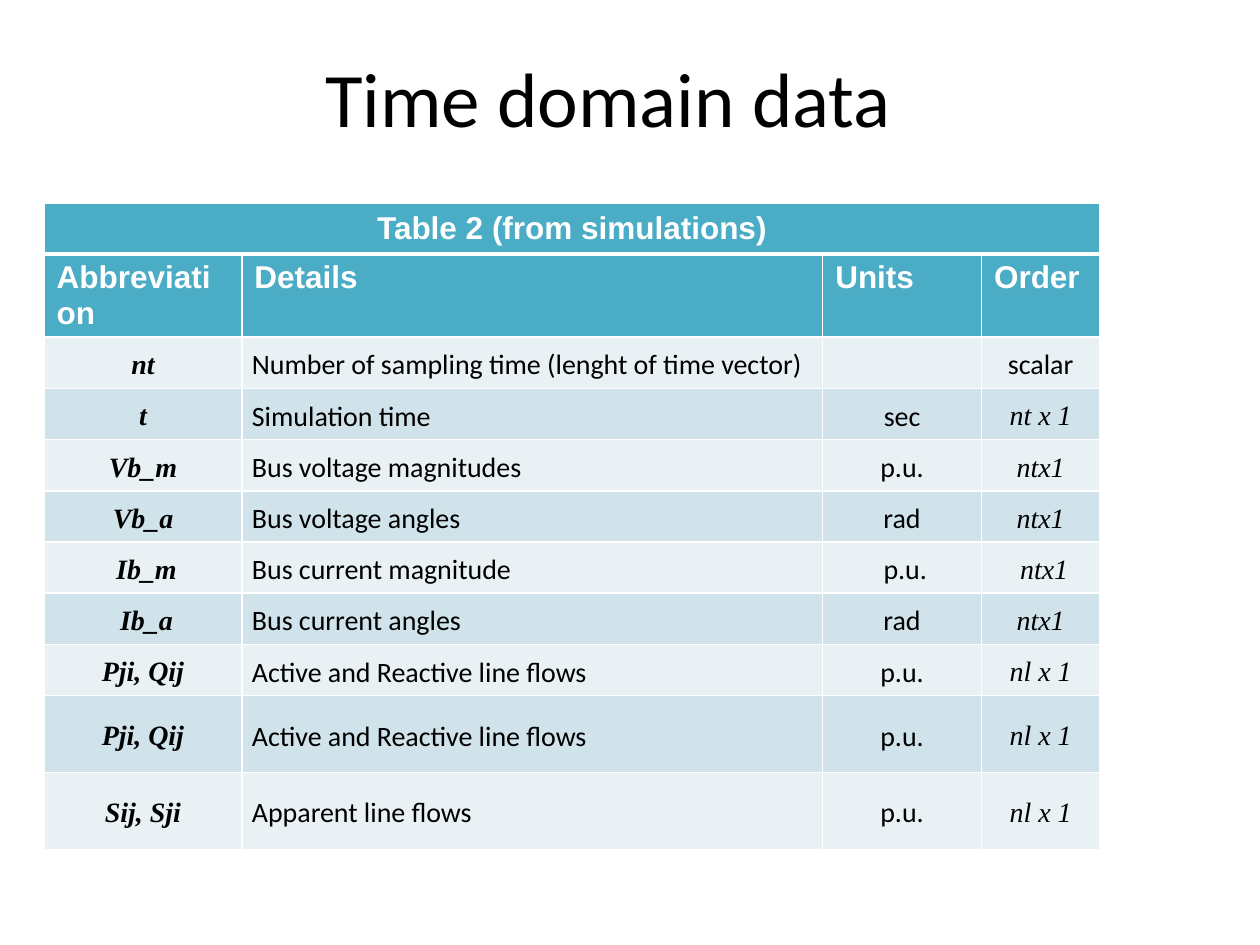
import pptx
import pptx.util
import pptx.dml.color
import pptx.enum.text
import pptx.oxml
import pptx.oxml.ns
from dataclasses import dataclass

Inches, Pt = pptx.util.Inches, pptx.util.Pt
Align = pptx.enum.text.PP_ALIGN
Anchor = pptx.enum.text.MSO_ANCHOR


@dataclass(frozen=True)
class Theme:
    header: str = "4BACC6"
    bands: tuple = ("E9F1F5", "D0E3EA")
    light: str = "FFFFFF"
    dark: str = "000000"
    title_size: int = 44
    header_size: int = 18
    body_size: int = 16
    text_font: str = "Calibri"
    header_font: str = "Arial"
    symbol_font: str = "Times New Roman"


theme = Theme()


def format_text(text_frame, font_name, size, color, align, bold=False, italic=False):
    paragraph = text_frame.paragraphs[0]
    paragraph.alignment = align
    for run in paragraph.runs:
        font = run.font
        font.name, font.size, font.bold, font.italic = font_name, Pt(size), bold, italic
        font.color.rgb = pptx.dml.color.RGBColor.from_string(color)


def paint_cell(cell, fill, top=1, bottom=1):
    """Draw the cell's borders (widths in points), then its fill, in schema order."""
    properties = cell._tc.get_or_add_tcPr()
    for side, width in (("L", 1), ("R", 1), ("T", top), ("B", bottom)):
        properties.append(pptx.oxml.parse_xml(
            f'<a:ln{side} {pptx.oxml.ns.nsdecls("a")} w="{Pt(width)}">'
            f'<a:solidFill><a:srgbClr val="{theme.light}"/></a:solidFill></a:ln{side}>'))
    cell.fill.solid()
    cell.fill.fore_color.rgb = pptx.dml.color.RGBColor.from_string(fill)


presentation = pptx.Presentation()
presentation.slide_width, presentation.slide_height = Inches(10), Inches(7.5)
slide = presentation.slides.add_slide(presentation.slide_layouts[5])

title = slide.shapes.title
title.left, title.top = Inches(2.48), Inches(0.3)
title.width, title.height = Inches(5.2), Inches(0.94)
title.text_frame.text = "Time domain data"
title.text_frame.vertical_anchor = Anchor.MIDDLE
format_text(title.text_frame, theme.text_font, theme.title_size, theme.dark, Align.LEFT)

caption = "Table 2 (from simulations)"
headings = ("Abbreviation", "Details", "Units", "Order")
records = (
    ("nt", "Number of sampling time (lenght of time vector)", "", "scalar"),
    ("t", "Simulation time", "sec", "nt x 1"),
    ("Vb_m", "Bus voltage magnitudes", "p.u.", "ntx1"),
    ("Vb_a", "Bus voltage angles", "rad", "ntx1"),
    (" Ib_m", "Bus current magnitude  ", " p.u.", " ntx1"),
    (" Ib_a", "Bus current angles", "rad", "ntx1"),
    ("Pji, Qij", "Active and Reactive line flows", "p.u.", "nl x 1"),
    ("Pji, Qij", "Active and Reactive line flows", "p.u.", "nl x 1"),
    ("Sij, Sji", "Apparent line flows", "p.u.", "nl x 1"),
)

# Nine single rows and two of one and a half: twelve units of height.
column_widths = (1.57, 4.61, 1.26, 0.94)
row_shares = [1] * 9 + [1.5] * 2
table_height = Inches(4.88)
table = slide.shapes.add_table(
    len(row_shares), len(column_widths), Inches(0.35), Inches(1.61),
    Inches(sum(column_widths)), table_height).table
for column, width in zip(table.columns, column_widths):
    column.width = Inches(width)
for row, share in zip(table.rows, row_shares):
    row.height = int(table_height * share / sum(row_shares))

caption_cell = table.cell(0, 0)
caption_cell.merge(table.cell(0, len(headings) - 1))
caption_cell.text_frame.text = caption
caption_cell.vertical_anchor = Anchor.MIDDLE
format_text(caption_cell.text_frame, theme.header_font, theme.header_size,
            theme.light, Align.CENTER, bold=True)

for column_index, heading in enumerate(headings):
    paint_cell(table.cell(0, column_index), theme.header, bottom=3)
    cell = table.cell(1, column_index)
    cell.text_frame.text = heading
    format_text(cell.text_frame, theme.header_font, theme.header_size,
                theme.light, Align.LEFT, bold=True)
    paint_cell(cell, theme.header, top=3)

for record_index, record in enumerate(records):
    for column_index, text in enumerate(record):
        heading = headings[column_index]
        symbol = heading == "Abbreviation" or (heading == "Order" and text != "scalar")
        cell = table.cell(record_index + 2, column_index)
        cell.text_frame.text = text
        cell.vertical_anchor = Anchor.MIDDLE
        cell.margin_left = cell.margin_right = Inches(0.08)
        cell.margin_top = cell.margin_bottom = 0
        cell.text_frame.paragraphs[0].line_spacing = 1.15
        format_text(cell.text_frame,
                    theme.symbol_font if symbol else theme.text_font,
                    theme.body_size, theme.dark,
                    Align.LEFT if heading == "Details" else Align.CENTER,
                    bold=heading == "Abbreviation", italic=symbol)
        paint_cell(cell, theme.bands[record_index % 2])

presentation.save("out.pptx")
